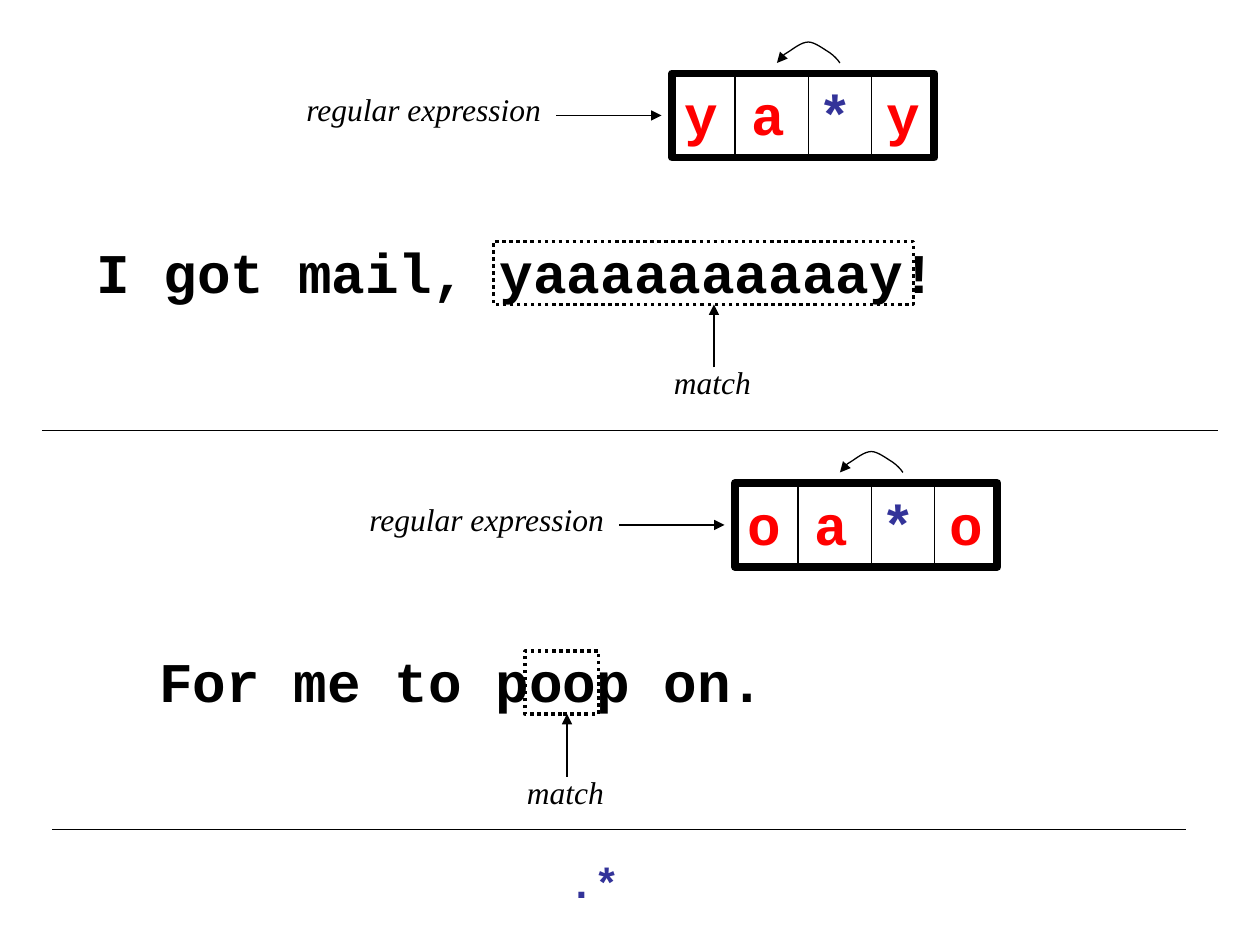
from dataclasses import dataclass
from lxml.etree import SubElement
from pptx import Presentation
from pptx.dml.color import RGBColor
from pptx.enum.dml import MSO_LINE
from pptx.enum.shapes import MSO_CONNECTOR, MSO_SHAPE
from pptx.enum.text import MSO_AUTO_SIZE
from pptx.oxml.ns import qn
from pptx.util import Inches, Pt


@dataclass(frozen=True)
class Theme:
    ink: str = "000000"
    literal: str = "FF0000"
    operator: str = "333399"
    code_font: str = "Courier New"
    label_font: str = "Times New Roman"
    code_size: int = 32
    small_code_size: int = 24
    label_size: int = 18
    thin: float = 0.75
    dotted: float = 2
    thick: float = 4.5


CELLS_PER_INCH = 12
LOOP = [(6, 2), (5.76, 1.64), (5.4, 1.28), (5, 1), (4.5, 0.7), (3.6, 0),
        (3, 0), (2.3, 0), (1.5, 0.7), (1, 1), (0.5, 1.3), (0.1, 1.9), (0, 2)]


def grid(*cells):
    return [Inches(c / CELLS_PER_INCH) for c in cells]


class Canvas:
    def __init__(self, slide, theme):
        self.s = slide
        self.theme = theme

    def stroke(self, line, width, arrow=False):
        line.color.rgb = RGBColor.from_string(self.theme.ink)
        line.width = Pt(width)
        if arrow:
            SubElement(line._get_or_add_ln(), qn("a:tailEnd"), type="triangle")

    def line(self, x1, y1, x2, y2, arrow=False):
        c = self.s.shapes.add_connector(MSO_CONNECTOR.STRAIGHT, *grid(x1, y1, x2, y2))
        self.stroke(c.line, self.theme.thin, arrow)
        SubElement(c._element.spPr, qn("a:effectLst"))

    def box(self, x, y, w, h, width, dash=None):
        sp = self.s.shapes.add_shape(MSO_SHAPE.RECTANGLE, *grid(x, y, w, h))
        sp.shadow.inherit = False
        sp.fill.background()
        self.stroke(sp.line, width)
        if dash:
            sp.line.dash_style = dash

    def loop(self, x, y):
        start, *rest = [tuple(grid(x + dx, y + dy)) for dx, dy in LOOP]
        builder = self.s.shapes.build_freeform(*start)
        builder.add_line_segments(rest, close=False)
        sp = builder.convert_to_shape()
        sp.shadow.inherit = False
        sp.fill.background()
        self.stroke(sp.line, self.theme.thin, arrow=True)
        segments = list(sp._element.iter(qn("a:lnTo")))
        outline = segments[0].getparent()
        for i in range(0, len(segments), 3):
            curve = SubElement(outline, qn("a:cubicBezTo"))
            for segment in segments[i:i + 3]:
                curve.append(segment[0])
                outline.remove(segment)

    def text(self, x, y, w, h, runs, font, size, bold=False, italic=False, wrap=True):
        tf = self.s.shapes.add_textbox(*grid(x, y, w, h)).text_frame
        tf.word_wrap = wrap
        tf.auto_size = MSO_AUTO_SIZE.SHAPE_TO_FIT_TEXT
        p = tf.paragraphs[0]
        before = SubElement(p._p.get_or_add_pPr(), qn("a:spcBef"))
        SubElement(before, qn("a:spcPct"), val="50000")
        for words, color in runs:
            r = p.add_run()
            r.text = words
            r.font.name = font
            r.font.size = Pt(size)
            r.font.bold = bold
            r.font.italic = italic
            r.font.color.rgb = RGBColor.from_string(color)

    def code(self, x, y, w, h, runs, size=None):
        self.text(x, y, w, h, runs, self.theme.code_font,
                  size or self.theme.code_size, bold=True)

    def label(self, x, y, w, words):
        self.text(x, y, w, 4.8, [(words, self.theme.ink)], self.theme.label_font,
                  self.theme.label_size, italic=True, wrap=False)

    def expression(self, x, y, letter):
        t = self.theme
        self.label(x, y + 4, 25, "regular expression")
        self.line(x + 25, y + 7, x + 35, y + 7, arrow=True)
        self.box(x + 36, y + 3, 25, 8, t.thick)
        self.code(x + 36, y + 3, 42, 7.5, [(f"{letter} a ", t.literal),
                                           ("*", t.operator),
                                           (f" {letter}", t.literal)])
        for dx in (42, 49, 55):
            self.line(x + dx, y + 3, x + dx, y + 11)
        self.loop(x + 46, y)

    def sentence(self, x, y, w, words, match_x, match_w, arrow_x):
        t = self.theme
        self.code(x, y, w, 7.5, [(words, t.ink)])
        self.box(match_x, y + 1, match_w, 6, t.dotted, MSO_LINE.ROUND_DOT)
        self.line(arrow_x, y + 13, arrow_x, y + 7, arrow=True)
        self.label(arrow_x - 5, y + 12, 9.7, "match")


def main():
    prs = Presentation()
    prs.slide_width, prs.slide_height = Inches(10), Inches(7.5)
    theme = Theme()
    canvas = Canvas(prs.slides.add_slide(prs.slide_layouts[6]), theme)

    canvas.expression(28, 4, "y")
    canvas.sentence(8, 22, 87, "I got mail, yaaaaaaaaaay!", 47, 40, 68)
    canvas.line(4, 41, 116, 41)

    canvas.expression(34, 43, "o")
    canvas.sentence(14, 61, 81, "For me to poop on.", 50, 7, 54)
    canvas.line(5, 79, 113, 79)

    canvas.code(53, 81, 8, 6, [(".*", theme.operator)], theme.small_code_size)
    prs.save("out.pptx")


if __name__ == "__main__":
    main()
